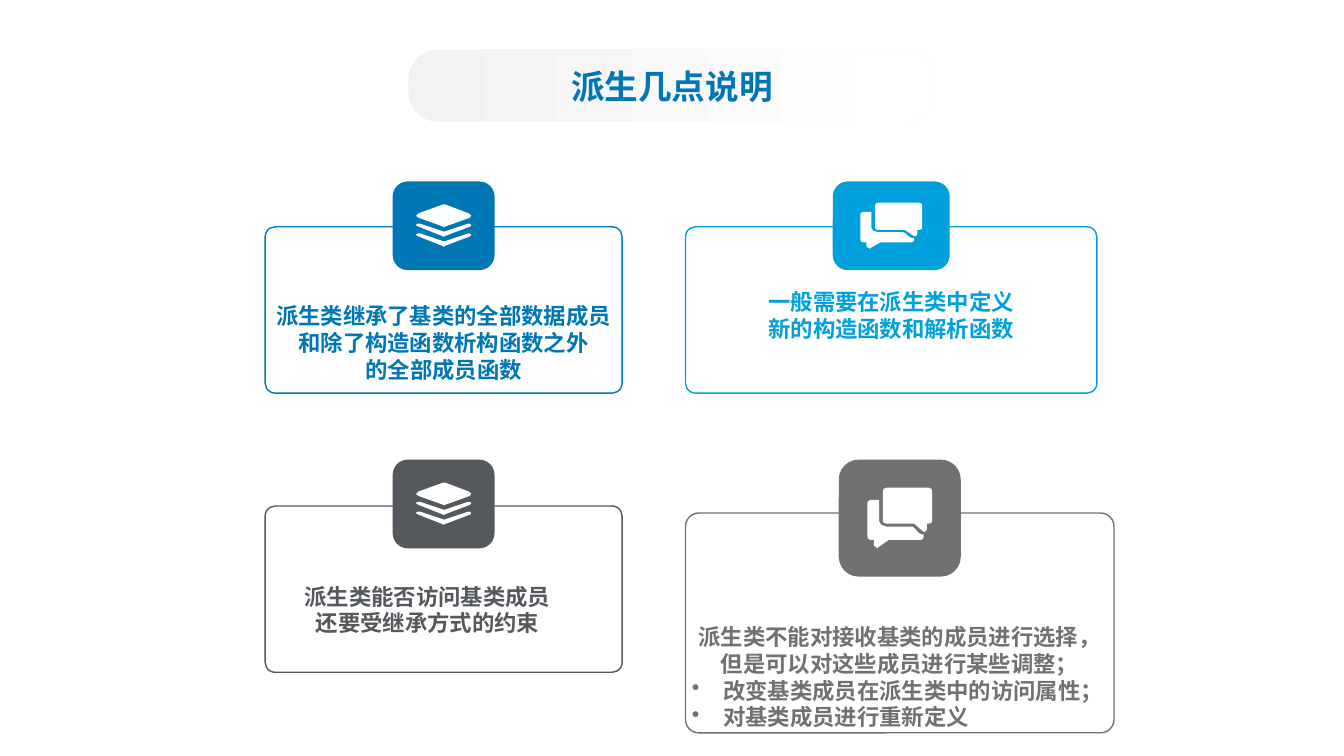
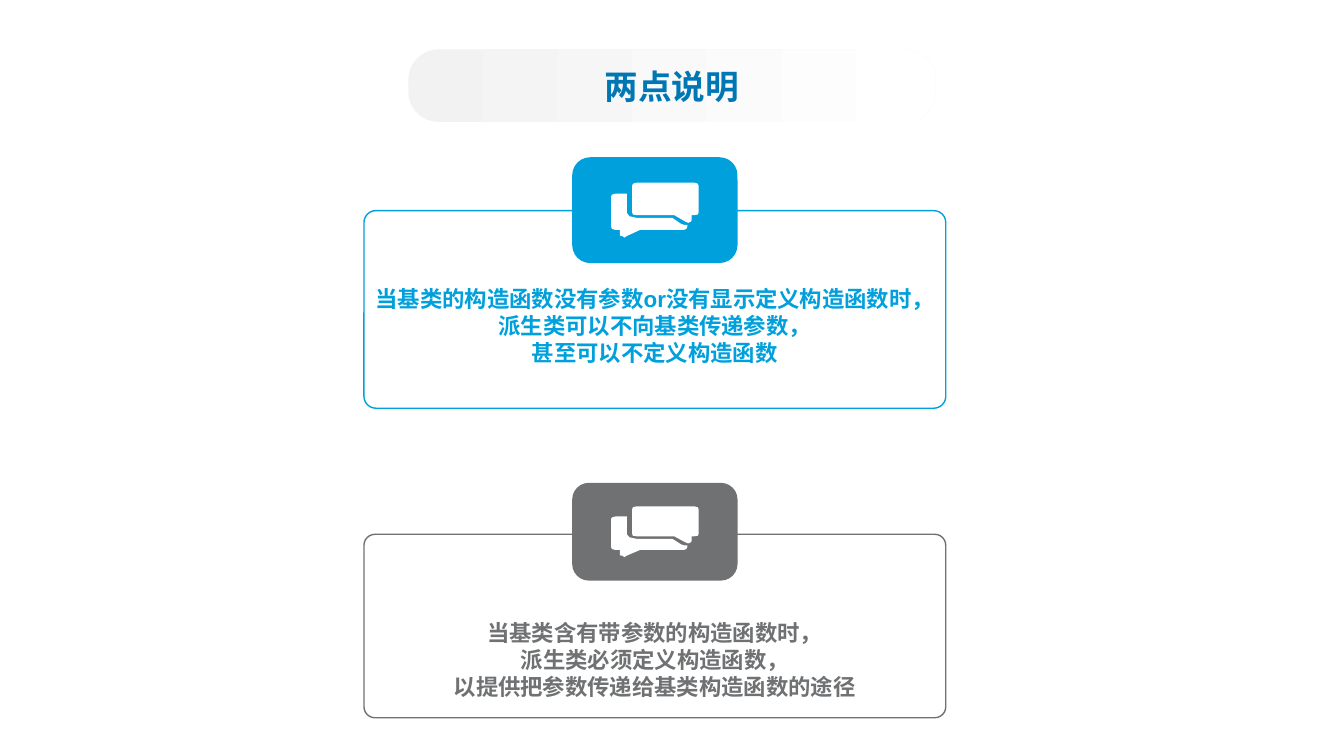
import pptx
import pptx.dml.color
import pptx.enum.shapes
import pptx.enum.text
import pptx.util
import lxml.etree
import pptx.oxml.ns

COLORS = {
    "blue": "0077B5",
    "sky": "00A0DC",
    "slate": "55595D",
    "gray": "6F7173",
    "pale": "F2F2F2",
    "white": "FFFFFF",
}
LATIN, CHINESE = "Arial", "Noto Sans CJK SC"

# Icon outlines in hundredths of the icon's width and height
LAYER_TOP = [(98, 31), (53, 52), (51, 53), (49, 52), (4, 31), (0, 27), (4, 21),
             (49, 0), (53, 0), (96, 21), (100, 26)]
LAYER_BAND = [(98, 52), (53, 74), (50, 76), (47, 74), (4, 52), (0, 49), (1, 46),
              (5, 45), (7, 45), (51, 64), (95, 45), (99, 46), (100, 49)]
LAYER_BASE = [(x, y + 23) for x, y in LAYER_BAND]
FRONT_BUBBLE = [(95, 59), (92, 59), (92, 68), (91, 71), (88, 73), (85, 71), (72, 59),
                (29, 59), (25, 58), (24, 54), (24, 6), (25, 2), (29, 0), (95, 0),
                (99, 2), (100, 6), (100, 54), (99, 58)]
BACK_BUBBLE = [(70, 64), (80, 75), (84, 77), (87, 77), (87, 80), (86, 84), (83, 86),
               (33, 86), (18, 97), (15, 100), (13, 97), (11, 97), (10, 95), (10, 86),
               (5, 86), (1, 84), (0, 80), (0, 25), (1, 22), (5, 20), (18, 20),
               (18, 55), (21, 61), (29, 64)]
# Each icon: its share of the badge's width and height, and its outlines
ICONS = {
    "layers": (0.54, 0.48, [LAYER_TOP, LAYER_BAND, LAYER_BASE]),
    "chat": (0.53, 0.52, [FRONT_BUBBLE, BACK_BUBBLE]),
}


def rgb(name):
    return pptx.dml.color.RGBColor.from_string(COLORS[name])


class CardDeck:
    """Draws on the current slide; lengths are percent of the slide's size."""

    def __init__(self):
        self.deck = pptx.Presentation()
        self.deck.slide_width = pptx.util.Inches(13.33)
        self.deck.slide_height = pptx.util.Inches(7.5)
        self.slide = None

    def across(self, share):
        return round(self.deck.slide_width * share / 100)

    def down(self, share):
        return round(self.deck.slide_height * share / 100)

    def area(self, left, top, width, height):
        return self.across(left), self.down(top), self.across(width), self.down(height)

    def add_slide(self, title):
        self.slide = self.deck.slides.add_slide(self.deck.slide_layouts[6])
        self.title(title)

    def rounded(self, area, corner, fill=None, line=None):
        box = self.slide.shapes.add_shape(
            pptx.enum.shapes.MSO_SHAPE.ROUNDED_RECTANGLE, *self.area(*area))
        box.adjustments[0] = corner
        box.shadow.inherit = False
        if fill:
            box.fill.solid()
            box.fill.fore_color.rgb = rgb(fill)
        else:
            box.fill.background()
        if line:
            box.line.color.rgb = rgb(line)
            box.line.width = pptx.util.Pt(1)
        else:
            box.line.fill.background()
        return box

    def style(self, para, size, color, latin):
        for span in para.runs:
            span.font.size = pptx.util.Pt(size)
            span.font.bold = True
            span.font.color.rgb = rgb(color)
            span.font.name = latin
            east_asian = lxml.etree.SubElement(
                span.font._element, pptx.oxml.ns.qn("a:ea"))
            east_asian.set("typeface", CHINESE)

    def title(self, text):
        band = self.rounded((30.38, 6.53, 39.23, 9.6), 0.42)
        band.fill.gradient()
        band.fill.gradient_angle = 0
        for stop, color, position in zip(
                band.fill.gradient_stops, ("pale", "white"), (0, 0.99)):
            stop.color.rgb = rgb(color)
            stop.position = position
        band.text_frame.text = text
        para = band.text_frame.paragraphs[0]
        para.alignment = pptx.enum.text.PP_ALIGN.CENTER
        self.style(para, 24, "blue", CHINESE)

    def icon(self, name, badge):
        left, top, width, height = self.area(*badge)
        wide, high, outlines = ICONS[name]
        scale = (width * wide / 100, height * high / 100)
        builder = None
        for first, *others in outlines:
            if builder is None:
                builder = self.slide.shapes.build_freeform(*first, scale=scale)
            else:
                builder.move_to(*first)
            builder.add_line_segments(others, close=True)
        drawing = builder.convert_to_shape(
            round(left + width * (1 - wide) / 2), round(top + height * (1 - high) / 2))
        drawing.shadow.inherit = False
        drawing.fill.solid()
        drawing.fill.fore_color.rgb = rgb("white")
        drawing.line.fill.background()

    def bullet(self, para):
        indent = pptx.util.Inches(0.31)
        properties = para._p.get_or_add_pPr()
        properties.set("marL", str(indent))
        properties.set("indent", str(-indent))
        mark = lxml.etree.SubElement(properties, pptx.oxml.ns.qn("a:buChar"))
        mark.set("char", "•")
        para.alignment = pptx.enum.text.PP_ALIGN.JUSTIFY

    def text(self, area, lines, color, bullets):
        frame = self.slide.shapes.add_textbox(*self.area(*area)).text_frame
        # The box grows around its centre, so each line stays whole
        frame.word_wrap = False
        frame.auto_size = pptx.enum.text.MSO_AUTO_SIZE.SHAPE_TO_FIT_TEXT
        frame.margin_left = frame.margin_right = 0
        frame.margin_top = frame.margin_bottom = 0
        frame.text = "\n".join(lines + bullets)
        for index, para in enumerate(frame.paragraphs):
            if index < len(lines):
                para.alignment = pptx.enum.text.PP_ALIGN.CENTER
            else:
                self.bullet(para)
            self.style(para, 16, color, LATIN)

    def card(self, frame, badge, text, color, icon, lines, bullets=(), shift=0):
        """badge is top, width, height; text is top, height; both centre on the frame."""
        left, _, width, _ = frame
        center = left + width / 2
        badge_top, badge_width, badge_height = badge
        badge_area = (center - badge_width / 2, badge_top, badge_width, badge_height)
        text_top, text_height = text
        text_width = width * 0.97
        self.rounded(frame, 0.06, line=color)
        self.rounded(badge_area, 0.17, fill=color)
        self.icon(icon, badge_area)
        self.text((center - text_width / 2 + shift, text_top, text_width, text_height),
                  lines, color, list(bullets))


def main():
    cards = CardDeck()

    # Four notes on derivation
    cards.add_slide("派生几点说明")
    left, right = 19.73, 51.01
    cards.card((left, 30, 26.56, 22), (24, 7.58, 11.73), (40, 9.87), "blue", "layers",
               ["派生类继承了基类的全部数据成员", "和除了构造函数析构函数之外", "的全部成员函数"])
    cards.card((right, 30, 30.61, 22), (24, 8.7, 11.73), (38.13, 11.73), "sky", "chat",
               ["一般需要在派生类中定义", "新的构造函数和解析函数"])
    cards.card((left, 66.93, 26.56, 22), (60.8, 7.58, 11.73), (77.07, 9.33),
               "slate", "layers",
               ["派生类能否访问基类成员", "还要受继承方式的约束"], shift=-1.2)
    cards.card((right, 67.87, 31.88, 29.07), (60.8, 9.08, 15.47), (82.4, 13.87),
               "gray", "chat",
               ["派生类不能对接收基类的成员进行选择，", "但是可以对这些成员进行某些调整；"],
               bullets=["改变基类成员在派生类中的访问属性；", "对基类成员进行重新定义"])

    # Two notes on constructors
    cards.add_slide("两点说明")
    left, width = 27.08, 43.29
    cards.card((left, 27.87, width, 26.13), (20.8, 12.3, 14), (37.73, 14), "sky", "chat",
               ["当基类的构造函数没有参数or没有显示定义构造函数时，",
                "派生类可以不向基类传递参数，", "甚至可以不定义构造函数"])
    cards.card((left, 70.67, width, 24.27), (63.87, 12.3, 12.93), (81.87, 11.6),
               "gray", "chat",
               ["当基类含有带参数的构造函数时，", "派生类必须定义构造函数，",
                "以提供把参数传递给基类构造函数的途径"])

    cards.deck.save("out.pptx")


if __name__ == "__main__":
    main()
